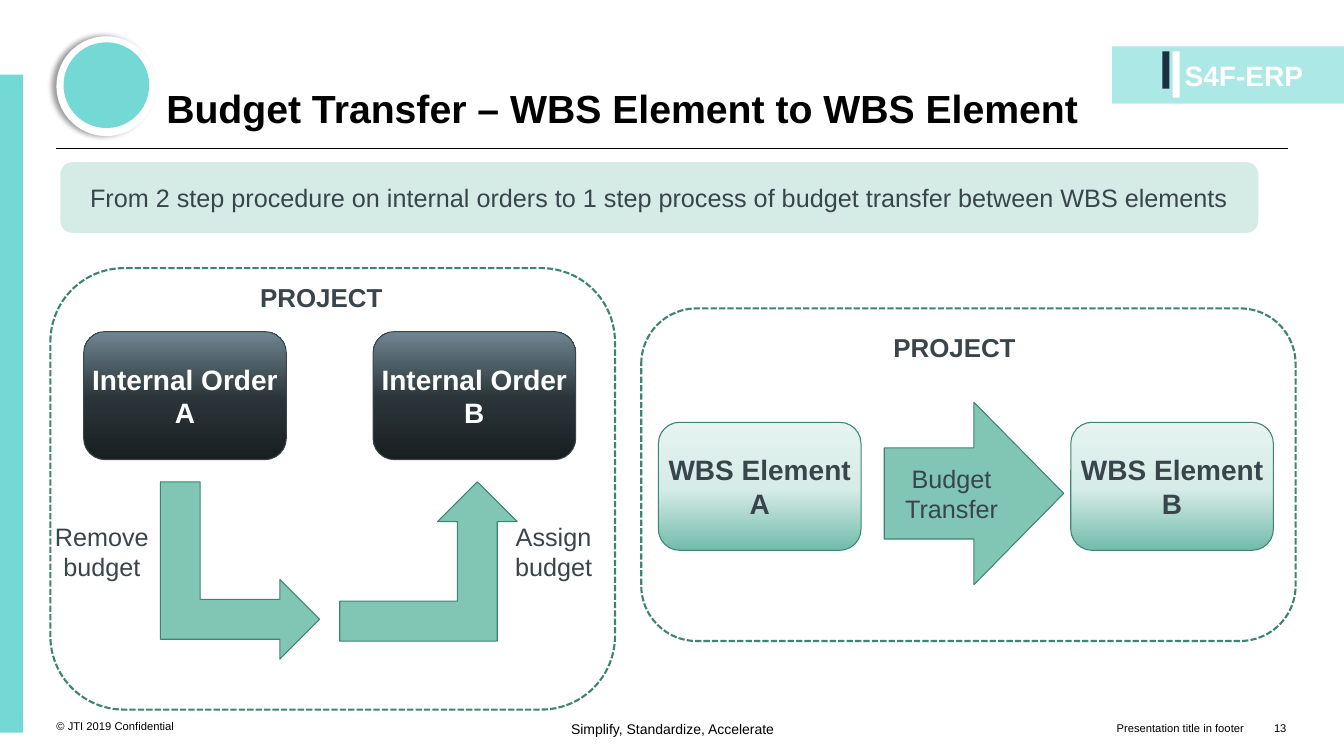
from dataclasses import dataclass

from lxml import etree
from copy import deepcopy
from pptx import Presentation
from pptx.dml.color import RGBColor
from pptx.enum.dml import MSO_LINE
from pptx.enum.shapes import MSO_CONNECTOR, MSO_SHAPE
from pptx.enum.text import MSO_ANCHOR, PP_ALIGN
from pptx.oxml import parse_xml
from pptx.oxml.ns import nsdecls, qn
from pptx.shapes.autoshape import Shape
from pptx.slide import Slide
from pptx.util import Inches, Pt

RECT, ROUNDED, OVAL = MSO_SHAPE.RECTANGLE, MSO_SHAPE.ROUNDED_RECTANGLE, MSO_SHAPE.OVAL
BENT_ARROW, RIGHT_ARROW = MSO_SHAPE.BENT_UP_ARROW, MSO_SHAPE.RIGHT_ARROW
STRAIGHT = MSO_CONNECTOR.STRAIGHT
DASHED = MSO_LINE.SQUARE_DOT
LEFT, CENTER, RIGHT = PP_ALIGN.LEFT, PP_ALIGN.CENTER, PP_ALIGN.RIGHT
TOP, MIDDLE, BOTTOM = MSO_ANCHOR.TOP, MSO_ANCHOR.MIDDLE, MSO_ANCHOR.BOTTOM

BLACK, WHITE = "000000", "FFFFFF"
SLATE, GREEN, ARROW_GREEN = "39454B", "3D8472", "81C5B4"
TURQUOISE, PALE_TURQUOISE, NAVY, MINT = "74D9D5", "ACE8E6", "1A3040", "D5EBE6"
ORDER_SHADES = ("191F21", "2B3539", "6F8692")
WBS_SHADES = ("71BBAA", "D6ECE7", "E6F3F0")
SHADE_POSITIONS = (0, 0.48, 1)

Area = tuple[float, float, float, float]


@dataclass
class Label:
    text: str
    size: float
    color: str = SLATE
    bold: bool = False
    align: PP_ALIGN = CENTER
    anchor: MSO_ANCHOR = MIDDLE
    left_inset: float = 0
    line_spacing: float = 1


@dataclass
class Block:
    kind: MSO_SHAPE
    area: Area
    fill: str | tuple[str, ...] | None = None
    line: str | None = None
    line_width: float = 0.75
    dashed: bool = False
    rotation: float = 0
    corner: float | None = None
    label: Label | None = None


def rgb(color: str) -> RGBColor:
    return RGBColor.from_string(color)


def write_label(shape: Shape, label: Label) -> None:
    frame = shape.text_frame
    frame.word_wrap = True
    frame.margin_left = Inches(label.left_inset)
    frame.margin_top = frame.margin_right = frame.margin_bottom = 0
    frame.vertical_anchor = label.anchor
    frame.text = label.text
    paragraph = frame.paragraphs[0]
    paragraph.alignment = label.align
    paragraph.line_spacing = label.line_spacing
    font = paragraph.runs[0].font
    font.name, font.size, font.bold = "Arial", Pt(label.size), label.bold
    font.color.rgb = rgb(label.color)


def shade_upwards(shape: Shape, shades: tuple[str, ...]) -> None:
    """Fill with a three-stop gradient, first shade at the bottom."""
    shape.fill.gradient()
    shape.fill.gradient_angle = 90
    stop_list = shape._element.spPr.find(qn("a:gradFill")).find(qn("a:gsLst"))
    stop_list.append(deepcopy(stop_list[-1]))
    for stop, position, shade in zip(shape.fill.gradient_stops, SHADE_POSITIONS, shades):
        stop.position = position
        stop.color.rgb = rgb(shade)


def draw_block(slide: Slide, block: Block) -> Shape:
    shape = slide.shapes.add_shape(block.kind, *map(Inches, block.area))
    shape.shadow.inherit = False
    shape.rotation = block.rotation
    if block.corner is not None:
        shape.adjustments[0] = block.corner
    if block.fill is None:
        shape.fill.background()
    elif isinstance(block.fill, str):
        shape.fill.solid()
        shape.fill.fore_color.rgb = rgb(block.fill)
    else:
        shade_upwards(shape, block.fill)
    if block.line is None:
        shape.line.fill.background()
    else:
        shape.line.color.rgb = rgb(block.line)
        shape.line.width = Pt(block.line_width)
    if block.dashed:
        shape.line.dash_style = DASHED
    if block.label:
        write_label(shape, block.label)
    return shape


def draw_text(slide: Slide, area: Area, label: Label) -> None:
    write_label(slide.shapes.add_textbox(*map(Inches, area)), label)


def cast_left_shadow(shape: Shape) -> None:
    effects = shape._element.spPr.find(qn("a:effectLst"))
    effects.append(parse_xml(
        f'<a:outerShdw {nsdecls("a")} blurRad="{Pt(4)}" dist="{Pt(3)}" dir="10800000"'
        ' algn="r" rotWithShape="0"><a:srgbClr val="000000"><a:alpha val="40000"/>'
        "</a:srgbClr></a:outerShdw>"))


def draw_title_rule(slide: Slide) -> None:
    rule = slide.shapes.add_connector(
        STRAIGHT, Inches(0.56), Inches(1.47), Inches(12.77), Inches(1.47))
    rule.line.color.rgb = rgb(BLACK)
    rule.line.width = Pt(0.75)
    etree.SubElement(rule._element.spPr, qn("a:effectLst"))


def node(left: float, top: float, name: str, shades: tuple[str, ...],
         line: str, text_color: str) -> Block:
    return Block(ROUNDED, (left, top, 2.01, 1.27), shades, line,
                 label=Label(name, 20, text_color, True))


def project_frame(area: Area) -> Block:
    return Block(ROUNDED, area, line=GREEN, line_width=1.5, dashed=True)


BRANDING = [
    Block(RECT, (11.03, 0.46, 2.3, 0.57), PALE_TURQUOISE),
    Block(RECT, (11.53, 0.51, 0.07, 0.37), NAVY),
    Block(ROUNDED, (11.63, 0.51, 0.07, 0.46), WHITE, corner=0.07),
    Block(RECT, (0, 0.74, 0.23, 6.53), TURQUOISE),
]
MEDALLION_RING = Block(OVAL, (0.56, 0.36, 0.99, 0.99), WHITE)
MEDALLION = Block(OVAL, (0.63, 0.42, 0.85, 0.85), TURQUOISE)

DIAGRAM = [
    node(0.83, 3.29, "Internal Order A", ORDER_SHADES, SLATE, WHITE),
    node(3.7, 3.29, "Internal Order B", ORDER_SHADES, SLATE, WHITE),
    Block(BENT_ARROW, (3.37, 4.78, 1.76, 1.58), ARROW_GREEN, GREEN),
    Block(BENT_ARROW, (1.5, 4.87, 1.76, 1.58), ARROW_GREEN, GREEN, rotation=90),
    project_frame((0.5, 2.66, 5.6, 4.38)),
    node(6.53, 4.19, "WBS Element A", WBS_SHADES, GREEN, SLATE),
    node(10.62, 4.19, "WBS Element B", WBS_SHADES, GREEN, SLATE),
    project_frame((6.36, 3.06, 6.49, 3.3)),
    Block(RIGHT_ARROW, (8.77, 3.99, 1.78, 1.81), ARROW_GREEN, GREEN,
          label=Label("Budget Transfer", 18)),
    Block(ROUNDED, (0.6, 1.61, 11.88, 0.7), MINT, label=Label(
        "From 2 step procedure on internal orders to 1 step process of budget transfer"
        " between WBS elements", 18, align=LEFT, left_inset=0.26)),
]

PROJECT = Label("PROJECT", 18.5, bold=True, align=LEFT, anchor=TOP)
TEXTS = [
    ((0.56, 6.87, 1.97, 0.4),
     Label("© JTI 2019 Confidential", 8, BLACK, align=LEFT, anchor=BOTTOM)),
    ((5.14, 7.15, 3.06, 0.3),
     Label("Simplify, Standardize, Accelerate", 10, BLACK, anchor=TOP)),
    ((7.74, 6.89, 4.6, 0.4),
     Label("Presentation title in footer", 8, BLACK, align=RIGHT, anchor=BOTTOM)),
    ((12.33, 6.89, 0.43, 0.4), Label("13", 8, BLACK, align=RIGHT, anchor=BOTTOM)),
    ((11.75, 0.58, 1.25, 0.5), Label("S4F-ERP", 20, WHITE, True, LEFT, TOP)),
    ((1.65, 0.23, 9.74, 1.08),
     Label("Budget Transfer – WBS Element to WBS Element", 28, BLACK, True, LEFT,
           BOTTOM, line_spacing=0.9)),
    ((0.5, 5.17, 1.02, 0.73), Label("Remove budget", 18, anchor=TOP)),
    ((4.98, 5.17, 1.02, 0.73), Label("Assign budget", 18, anchor=TOP)),
    ((2.58, 2.79, 1.28, 0.52), PROJECT),
    ((8.86, 3.29, 1.28, 0.52), PROJECT),
]


def main() -> None:
    presentation = Presentation()
    presentation.slide_width, presentation.slide_height = Inches(13.33), Inches(7.5)
    slide = presentation.slides.add_slide(presentation.slide_layouts[6])
    draw_title_rule(slide)
    for block in BRANDING:
        draw_block(slide, block)
    cast_left_shadow(draw_block(slide, MEDALLION_RING))
    draw_block(slide, MEDALLION)
    for block in DIAGRAM:
        draw_block(slide, block)
    for area, label in TEXTS:
        draw_text(slide, area, label)
    presentation.save("out.pptx")


if __name__ == "__main__":
    main()
